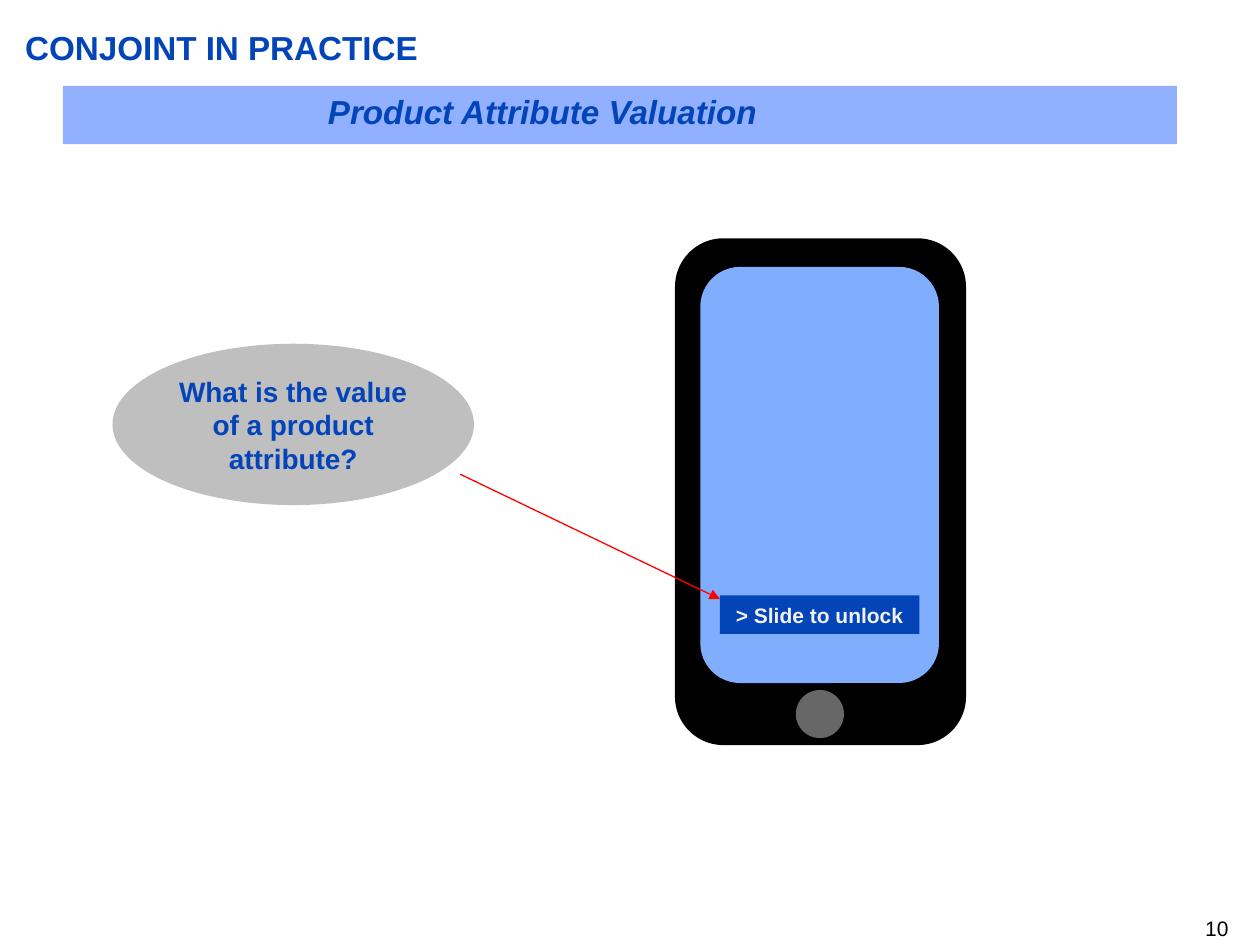
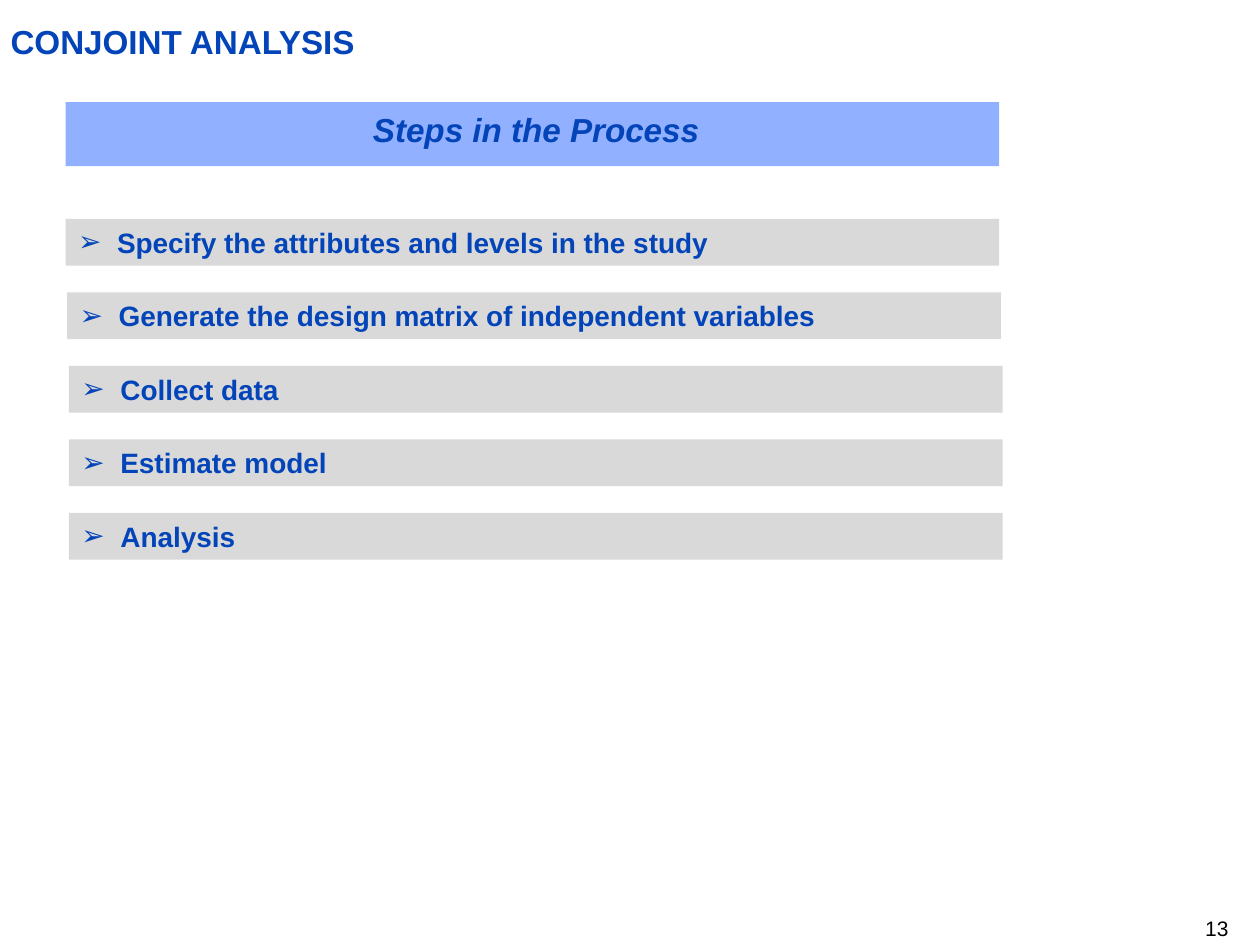
from lxml.etree import SubElement
from pptx import Presentation
from pptx.dml.color import RGBColor
from pptx.enum.shapes import MSO_CONNECTOR, MSO_SHAPE
from pptx.enum.text import MSO_ANCHOR, MSO_AUTO_SIZE, PP_ALIGN
from pptx.oxml.ns import qn
from pptx.util import Pt

FONT = "Arial"
BLUE, BAND, BLACK = "0344B9", "91B0FF", "000000"
PALE_GREY, MID_GREY, DARK_GREY = "D9D9D9", "BFBFBF", "676767"
SCREEN, OFF_WHITE, RED = "80ADFD", "F2F2F2", "FF0000"

# Every place is (left, top, width, height) in points.
VALUATION = {
    "title": ("CONJOINT IN PRACTICE", (14.4, 15.8, 672, 23)),
    "band": (36, 49, 636.5, 33.3),
    "subtitle": ("Product Attribute Valuation", (54, 52, 512, 23)),
    "number": "10",
}
PROCESS = {
    "title": ("CONJOINT ANALYSIS", (6, 12.2, 692, 23)),
    "band": (37.5, 58.3, 533.5, 36.7),
    "subtitle": ("Steps in the Process", (50.4, 62.4, 512, 23)),
    "number": "13",
}
NUMBER_PLACE = (552.2, 523.4, 149.8, 14.4)

PHONE = [
    (MSO_SHAPE.ROUNDED_RECTANGLE, (385.7, 136.2, 166.3, 289.6), BLACK),
    (MSO_SHAPE.ROUNDED_RECTANGLE, (400.2, 152.5, 136.4, 237.8), SCREEN),
    (MSO_SHAPE.OVAL, (454.8, 394.3, 27.5, 27.5), DARK_GREY),
]
UNLOCK = ("> Slide to unlock", (411.4, 340.3, 114, 22))
QUESTION = ("What is the value of a product attribute?", (64.3, 196.4, 206.6, 92.2))
ARROW = (263, 271, 411.4, 342.3)

STEPS = [
    ("Specify the attributes and levels in the study", 37.5),
    ("Generate the design matrix of independent variables", 38.4),
    ("Collect data", 39.4),
    ("Estimate model", 39.4),
    ("Analysis", 39.4),
]
STEP_TOP, STEP_PITCH, STEP_WIDTH, STEP_HEIGHT = 125.1, 42, 533.5, 26.7
STEP_INDENT = 22.3


def color(value):
    return RGBColor.from_string(value)


def points(*values):
    return [Pt(value) for value in values]


def write(box, text, size, ink=BLUE, bold=True, italic=False,
          align=PP_ALIGN.CENTER, anchor=MSO_ANCHOR.TOP, margins=(0, 0), bullet=None):
    """Format the box's single paragraph; margins are horizontal and vertical."""
    frame = box.text_frame
    frame.word_wrap = True
    frame.auto_size = MSO_AUTO_SIZE.NONE
    frame.vertical_anchor = anchor
    frame.margin_left = frame.margin_right = Pt(margins[0])
    frame.margin_top = frame.margin_bottom = Pt(margins[1])
    paragraph = frame.paragraphs[0]
    paragraph.text = text
    paragraph.alignment = align
    if bullet:
        properties = paragraph._p.get_or_add_pPr()
        properties.set("marL", str(Pt(STEP_INDENT)))
        properties.set("indent", str(-Pt(STEP_INDENT)))
        SubElement(properties, qn("a:buFont"), typeface=FONT)
        SubElement(properties, qn("a:buChar"), char=bullet)
    font = paragraph.font
    font.name, font.size, font.bold, font.italic = FONT, Pt(size), bold, italic
    font.color.rgb = color(ink)


def add_filled(page, kind, place, fill):
    shape = page.shapes.add_shape(kind, *points(*place))
    shape.shadow.inherit = False
    shape.fill.solid()
    shape.fill.fore_color.rgb = color(fill)
    shape.line.fill.background()
    return shape


def add_text(page, text, place, size, **style):
    write(page.shapes.add_textbox(*points(*place)), text, size, **style)


def add_page(deck, content):
    """Add a slide with the shared title, band, subtitle and page number."""
    page = deck.slides.add_slide(deck.slide_layouts[5])
    text, place = content["title"]
    title = page.shapes.title
    title.left, title.top, title.width, title.height = points(*place)
    write(title, text, 19, align=PP_ALIGN.LEFT)
    add_filled(page, MSO_SHAPE.RECTANGLE, content["band"], BAND)
    add_text(page, *content["subtitle"], 19, italic=True)
    add_text(page, content["number"], NUMBER_PLACE, 12,
             ink=BLACK, bold=False, align=PP_ALIGN.RIGHT)
    return page


def add_arrow(page, ends):
    arrow = page.shapes.add_connector(MSO_CONNECTOR.STRAIGHT, *points(*ends))
    arrow.line.color.rgb = color(RED)
    arrow.line.width = Pt(0.75)
    SubElement(arrow.line._get_or_add_ln(), qn("a:tailEnd"), type="triangle")
    SubElement(arrow._element.spPr, qn("a:effectLst"))


def build_valuation(deck):
    page = add_page(deck, VALUATION)
    for kind, place, fill in PHONE:
        add_filled(page, kind, place, fill)
    text, place = UNLOCK
    button = add_filled(page, MSO_SHAPE.RECTANGLE, place, BLUE)
    write(button, text, 12, ink=OFF_WHITE, anchor=MSO_ANCHOR.MIDDLE, margins=(7.2, 3.6))
    add_arrow(page, ARROW)
    text, place = QUESTION
    bubble = add_filled(page, MSO_SHAPE.OVAL, place, MID_GREY)
    write(bubble, text, 16, anchor=MSO_ANCHOR.MIDDLE, margins=(7.2, 3.6))


def build_process(deck):
    page = add_page(deck, PROCESS)
    for index, (text, left) in enumerate(STEPS):
        place = (left, STEP_TOP + index * STEP_PITCH, STEP_WIDTH, STEP_HEIGHT)
        bar = add_filled(page, MSO_SHAPE.RECTANGLE, place, PALE_GREY)
        write(bar, text, 16, align=PP_ALIGN.LEFT, anchor=MSO_ANCHOR.MIDDLE,
              margins=(7.2, 3.6), bullet="➢")


def main():
    deck = Presentation()
    deck.slide_width, deck.slide_height = points(720, 540)
    build_valuation(deck)
    build_process(deck)
    deck.save("out.pptx")


if __name__ == "__main__":
    main()
